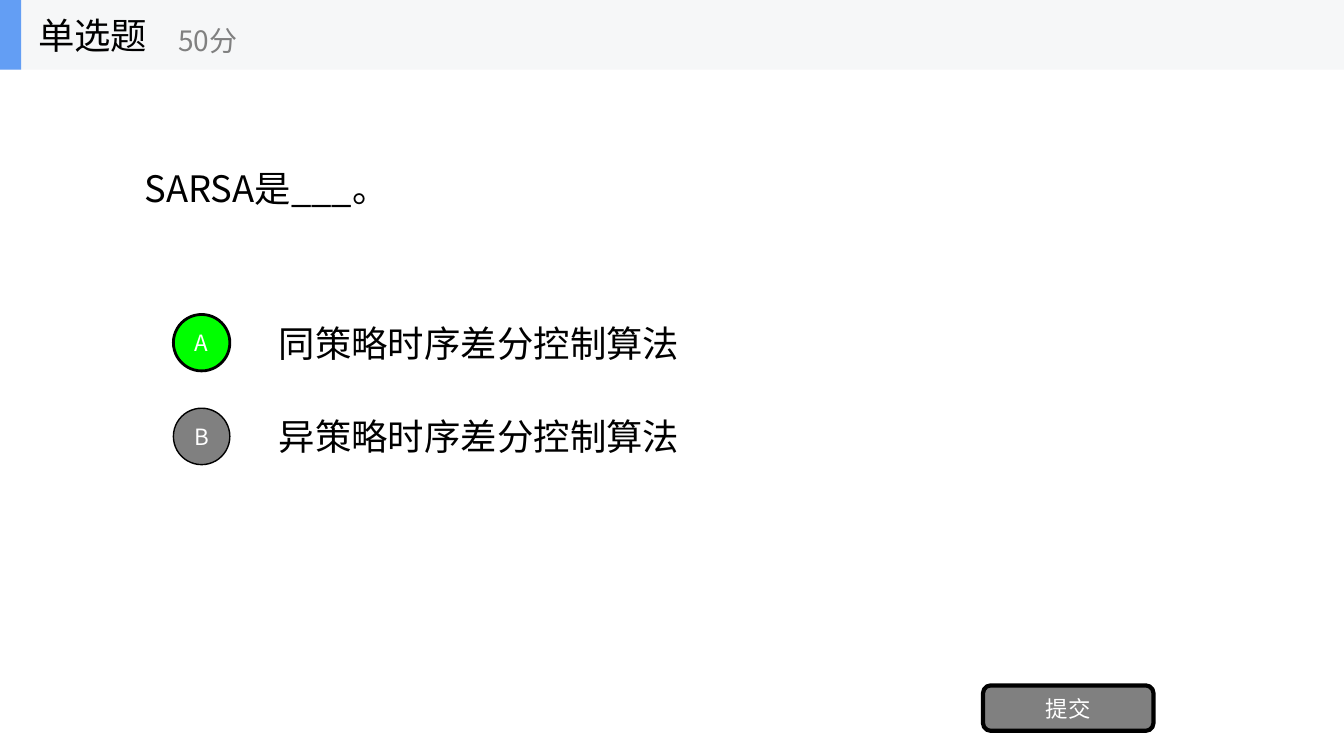
from lxml import etree
from pptx import Presentation
from pptx.dml.color import RGBColor
from pptx.enum.shapes import MSO_SHAPE
from pptx.enum.text import MSO_ANCHOR, PP_ALIGN
from pptx.oxml.ns import qn
from pptx.util import Inches, Pt

# Content
TITLE = "单选题"
SCORE = "50分"
QUESTION = "SARSA是___。"
OPTIONS = [("A", "同策略时序差分控制算法", True),
           ("B", "异策略时序差分控制算法", False)]
SUBMIT = "提交"

# Style
FONT = "Noto Sans CJK SC"
BLACK = RGBColor(0x00, 0x00, 0x00)
WHITE = RGBColor(0xFF, 0xFF, 0xFF)
GRAY = RGBColor(0x80, 0x80, 0x80)
GREEN = RGBColor(0x00, 0xFF, 0x00)
PALE = RGBColor(0xF6, 0xF7, 0xF8)
BLUE = RGBColor(0x63, 0x9E, 0xF4)
RECTANGLE, OVAL, ROUNDED = MSO_SHAPE.RECTANGLE, MSO_SHAPE.OVAL, MSO_SHAPE.ROUNDED_RECTANGLE
LEFT, CENTER, MIDDLE = PP_ALIGN.LEFT, PP_ALIGN.CENTER, MSO_ANCHOR.MIDDLE

# Layout, in inches
WIDTH, HEIGHT = 13.33, 7.5
HEADER_HEIGHT = 0.69
MARGIN = WIDTH / 10
OPTION_LEFT, OPTION_TOP, OPTION_HEIGHT, OPTION_PITCH = MARGIN * 2, 3.05, 0.7, 0.93
BADGE_LEFT, BADGE_SIZE = 1.72, 0.56


def write(shape, text, size=26, color=BLACK, align=LEFT):
    frame = shape.text_frame
    frame.word_wrap = True
    frame.vertical_anchor = MIDDLE
    paragraph = frame.paragraphs[0]
    paragraph.alignment = align
    run = paragraph.add_run()
    run.text = text
    run.font.size = Pt(size)
    run.font.color.rgb = color
    run.font.name = FONT
    # East Asian characters take their own font entry
    etree.SubElement(run.font._element, qn("a:ea"), typeface=FONT)


def add_text(shapes, box, text, **style):
    write(shapes.add_textbox(*map(Inches, box)), text, **style)


def add_block(shapes, kind, box, fill, line_width=0, text=""):
    shape = shapes.add_shape(kind, *map(Inches, box))
    shape.shadow.inherit = False
    shape.fill.solid()
    shape.fill.fore_color.rgb = fill
    if line_width:
        shape.line.color.rgb = BLACK
        shape.line.width = Pt(line_width)
    else:
        shape.line.fill.background()
    if text:
        frame = shape.text_frame
        frame.margin_left = frame.margin_right = 0
        write(shape, text, size=16, color=WHITE, align=CENTER)


def main():
    presentation = Presentation()
    presentation.slide_width = Inches(WIDTH)
    presentation.slide_height = Inches(HEIGHT)
    slide = presentation.slides.add_slide(presentation.slide_layouts[6])
    shapes = slide.shapes

    # Question
    add_text(shapes, (MARGIN, HEADER_HEIGHT, WIDTH * 0.8, 2.34), QUESTION)

    # Answer options, the right one marked green
    for row, (letter, answer, correct) in enumerate(OPTIONS):
        top = OPTION_TOP + row * OPTION_PITCH
        badge_top = top + (OPTION_HEIGHT - BADGE_SIZE) / 2
        add_text(shapes, (OPTION_LEFT, top, WIDTH * 0.7, OPTION_HEIGHT), answer)
        add_block(shapes, OVAL, (BADGE_LEFT, badge_top, BADGE_SIZE, BADGE_SIZE),
                  GREEN if correct else GRAY, 2 if correct else 1, letter)

    # Submit button
    add_block(shapes, ROUNDED, (9.75, 6.8, 1.69, 0.45), GRAY, 3, SUBMIT)

    # Header bar
    header = shapes.add_group_shape().shapes
    add_block(header, RECTANGLE, (0, 0, WIDTH, HEADER_HEIGHT), PALE)
    add_block(header, RECTANGLE, (0, 0, 0.21, HEADER_HEIGHT), BLUE)
    add_text(header, (0.28, 0, 2.08, HEADER_HEIGHT), TITLE)
    add_text(header, (1.67, 0.12, 2.5, 0.56), SCORE, size=20, color=GRAY)

    presentation.save("out.pptx")


if __name__ == "__main__":
    main()
